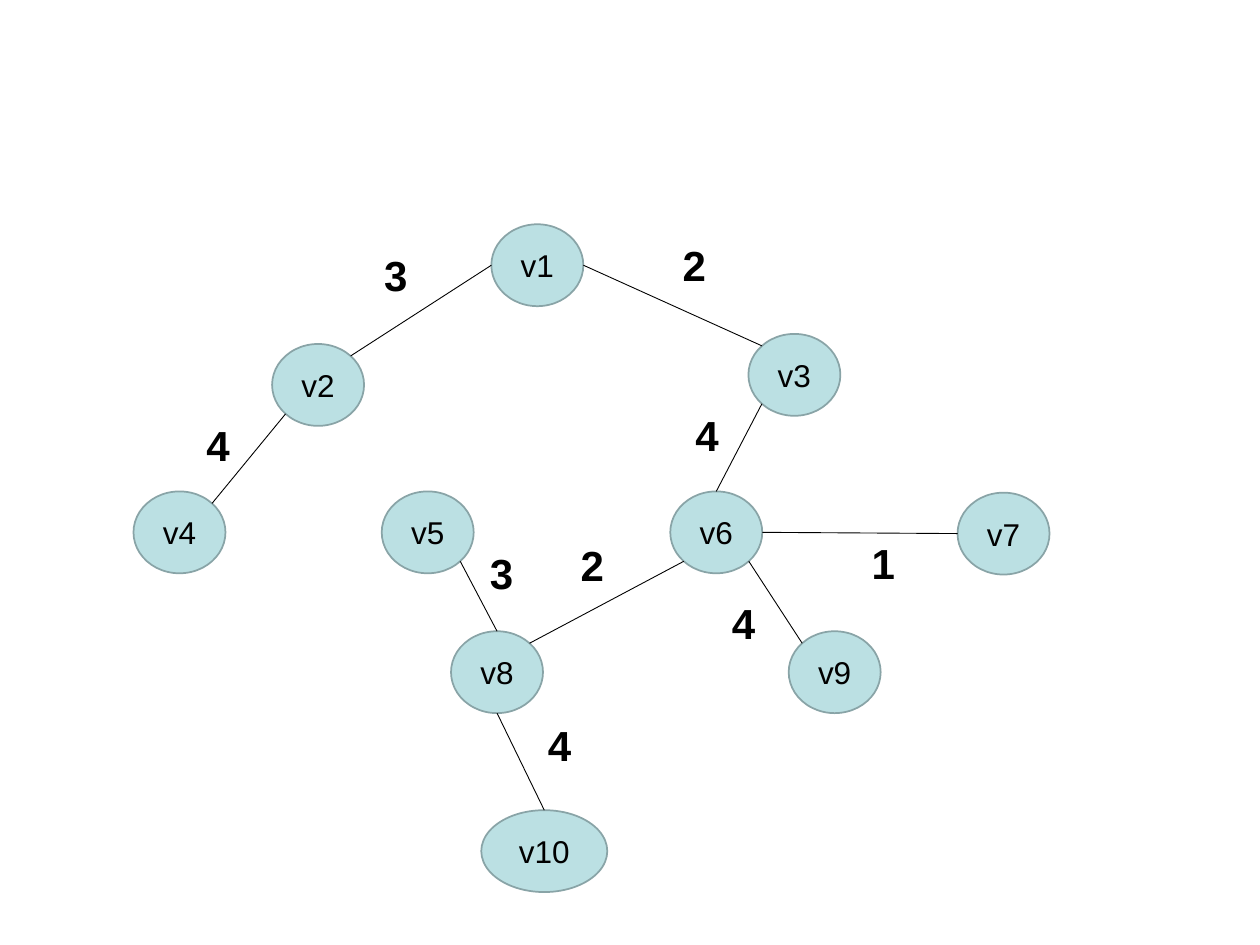
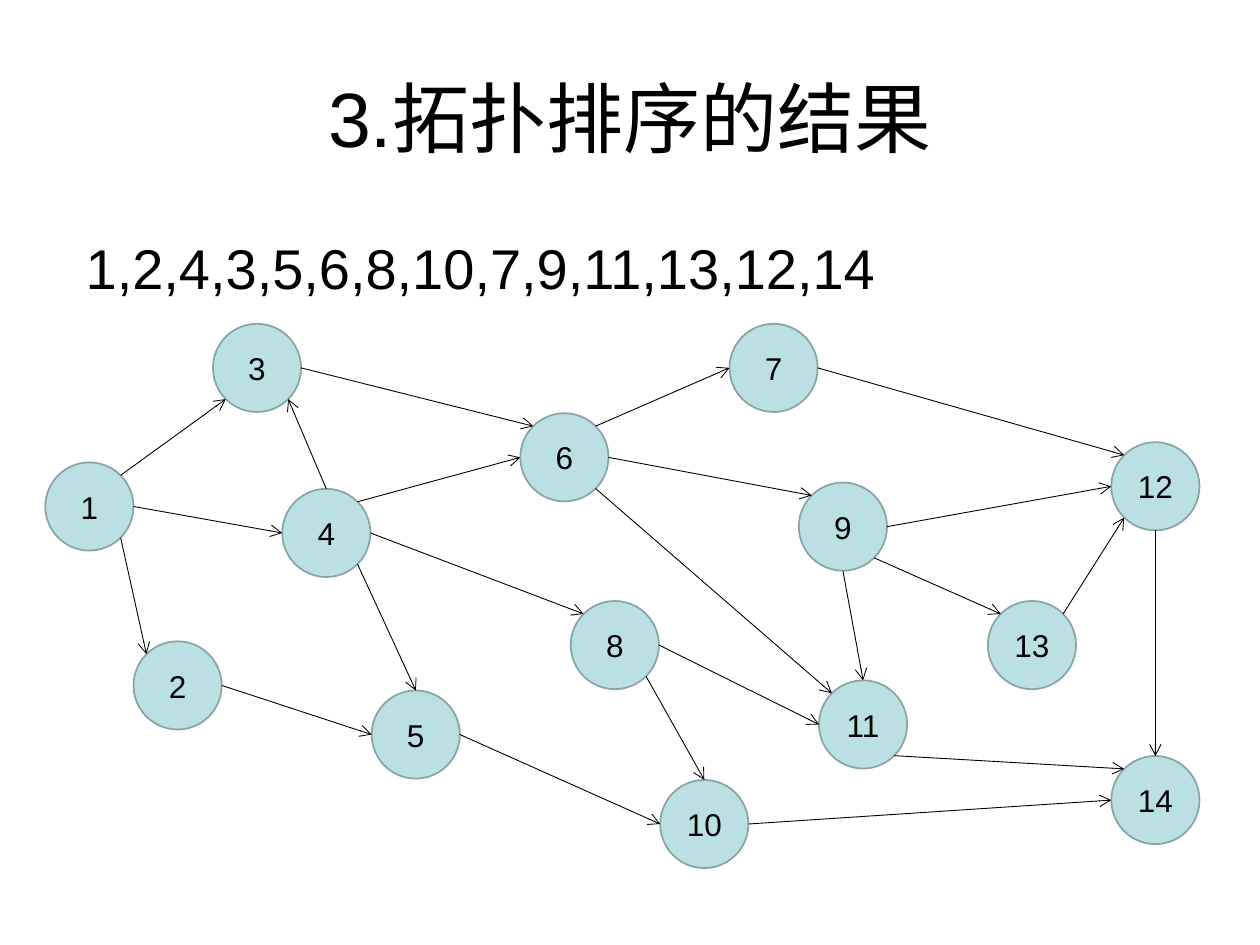
from math import cos, radians, sin

from lxml import etree
from pptx import Presentation
from pptx.dml.color import RGBColor
from pptx.enum.shapes import MSO_CONNECTOR, MSO_SHAPE
from pptx.enum.text import MSO_ANCHOR, MSO_AUTO_SIZE, PP_ALIGN
from pptx.oxml.ns import qn
from pptx.util import Pt

PX = 9144
FONT = "Arial"
BLACK = RGBColor(0x00, 0x00, 0x00)
WHITE = RGBColor(0xFF, 0xFF, 0xFF)
NODE_FILL = RGBColor(0xBB, 0xE0, 0xE3)
NODE_LINE = RGBColor(0x89, 0xA4, 0xA7)
STRAIGHT = MSO_CONNECTOR.STRAIGHT
ELLIPSE = MSO_SHAPE.OVAL
FLOW_NODE = MSO_SHAPE.FLOWCHART_CONNECTOR
CENTER = PP_ALIGN.CENTER
LEFT = PP_ALIGN.LEFT
MIDDLE = MSO_ANCHOR.MIDDLE
TOP = MSO_ANCHOR.TOP
FIXED_SIZE = MSO_AUTO_SIZE.NONE
GROW = MSO_AUTO_SIZE.SHAPE_TO_FIT_TEXT
TITLE_CONTENT = 1
BLANK = 6

SITE_ANGLES = {
    site: index * 45
    for index, site in enumerate(["e", "se", "s", "sw", "w", "nw", "n", "ne"])
}

TREE_NODES = {
    "v1": (390, 178), "v2": (216, 273), "v3": (594, 265),
    "v4": (106, 390), "v5": (303, 390), "v6": (532, 390),
    "v7": (760, 391), "v8": (358, 501), "v9": (626, 501),
    "v10": (382, 643),
}
TREE_EDGES = [
    ("v6", "e", "v7", "w", "1", 682, 422),
    ("v6", "sw", "v8", "ne", "2", 451, 423),
    ("v1", "e", "v3", "nw", "2", 532, 185),
    ("v1", "w", "v2", "ne", "3", 295, 193),
    ("v5", "se", "v8", "n", "3", 379, 430),
    ("v3", "sw", "v6", "n", "4", 542, 320),
    ("v2", "sw", "v4", "ne", "4", 154, 328),
    ("v6", "se", "v9", "nw", "4", 571, 469),
    ("v8", "s", "v10", "n", "4", 425, 566),
]

ORDER_NODES = {
    "12": (882, 351), "14": (882, 600), "13": (784, 477), "9": (634, 383),
    "11": (650, 540), "10": (524, 619), "7": (579, 257), "6": (413, 328),
    "8": (453, 477), "5": (295, 548), "2": (106, 509), "1": (36, 367),
    "4": (224, 388), "3": (169, 257),
}
ORDER_EDGES = [
    ("1", "ne", "3", "sw"), ("1", "se", "2", "nw"), ("1", "e", "4", "w"),
    ("3", "e", "6", "nw"), ("4", "n", "3", "se"), ("4", "ne", "6", "w"),
    ("2", "e", "5", "w"), ("4", "se", "5", "n"), ("4", "e", "8", "nw"),
    ("6", "ne", "7", "w"), ("6", "e", "9", "nw"), ("6", "se", "11", "nw"),
    ("8", "e", "11", "w"), ("5", "e", "10", "w"), ("8", "se", "10", "n"),
    ("7", "e", "12", "nw"), ("9", "e", "12", "w"), ("9", "s", "11", "n"),
    ("9", "se", "13", "nw"), ("13", "ne", "12", "sw"),
    ("10", "e", "14", "w"), ("11", "se", "14", "nw"), ("12", "s", "14", "n"),
]


def site_point(node, site):
    angle = radians(SITE_ANGLES[site])
    x = node.left + node.width / 2 * (1 + cos(angle))
    y = node.top + node.height / 2 * (1 + sin(angle))
    return round(x), round(y)


class GraphDeck:
    def __init__(self):
        self.deck = Presentation()
        self.deck.slide_width = 1000 * PX
        self.deck.slide_height = 750 * PX
        self.page = None

    def new_page(self, layout):
        self.page = self.deck.slides.add_slide(self.deck.slide_layouts[layout])
        background = self.page.background.fill
        background.solid()
        background.fore_color.rgb = WHITE

    def set_text(self, shape, text, size, bold=False, align=CENTER, anchor=MIDDLE):
        frame = shape.text_frame
        frame.text = text
        frame.vertical_anchor = anchor
        para = frame.paragraphs[0]
        para.alignment = align
        para.space_before = Pt(0)
        for span in para.runs:
            span.font.name = FONT
            span.font.size = Pt(size)
            span.font.bold = bold
            span.font.color.rgb = BLACK
        return frame

    def place(self, shape, left, top, width, height):
        shape.left, shape.top = left * PX, top * PX
        shape.width, shape.height = width * PX, height * PX

    def title(self, text):
        box = self.page.shapes.title
        self.place(box, 50, 30, 900, 125)
        self.set_text(box, text, 44).auto_size = FIXED_SIZE

    def body(self, text):
        box = self.page.placeholders[1]
        self.place(box, 50, 175, 900, 495)
        frame = self.set_text(box, text, 32, align=LEFT, anchor=TOP)
        frame.auto_size = FIXED_SIZE
        frame.margin_top = 10 * PX
        properties = frame.paragraphs[0]._p.get_or_add_pPr()
        properties.set("marL", str(8 * PX))
        properties.set("indent", "0")
        etree.SubElement(properties, qn("a:buNone"))

    def node(self, name, left, top, width, height, preset):
        shape = self.page.shapes.add_shape(
            preset, left * PX, top * PX, width * PX, height * PX)
        shape.shadow.inherit = False
        shape.fill.solid()
        shape.fill.fore_color.rgb = NODE_FILL
        shape.line.color.rgb = NODE_LINE
        shape.line.width = Pt(1)
        self.set_text(shape, name, 18)
        return shape

    def edge(self, start, start_site, end, end_site, arrow=False):
        line = self.page.shapes.add_connector(
            STRAIGHT, *site_point(start, start_site), *site_point(end, end_site))
        line.line.color.rgb = BLACK
        line.line.width = Pt(0.5)
        properties = line._element.spPr
        if arrow:
            outline = properties.find(qn("a:ln"))
            etree.SubElement(outline, qn("a:tailEnd"), type="arrow")
        etree.SubElement(properties, qn("a:effectLst"))

    def weight(self, text, left, top):
        box = self.page.shapes.add_textbox(left * PX, top * PX, 38 * PX, 50 * PX)
        frame = self.set_text(box, text, 24, bold=True, anchor=TOP)
        frame.word_wrap = False
        frame.auto_size = GROW


def build_spanning_tree(graph):
    graph.new_page(BLANK)
    nodes = {}
    for name, (left, top) in TREE_NODES.items():
        width = 100 if name == "v10" else 73
        nodes[name] = graph.node(name, left, top, width, 65, FLOW_NODE)
    for start, start_site, end, end_site, weight, left, top in TREE_EDGES:
        graph.edge(nodes[start], start_site, nodes[end], end_site)
        graph.weight(weight, left, top)


def build_topological_order(graph):
    graph.new_page(TITLE_CONTENT)
    graph.title("3.拓扑排序的结果")
    graph.body("1,2,4,3,5,6,8,10,7,9,11,13,12,14")
    nodes = {
        name: graph.node(name, left, top, 70, 70, ELLIPSE)
        for name, (left, top) in ORDER_NODES.items()
    }
    for start, start_site, end, end_site in ORDER_EDGES:
        graph.edge(nodes[start], start_site, nodes[end], end_site, arrow=True)


def main():
    graph = GraphDeck()
    build_spanning_tree(graph)
    build_topological_order(graph)
    graph.deck.save("out.pptx")


if __name__ == "__main__":
    main()
